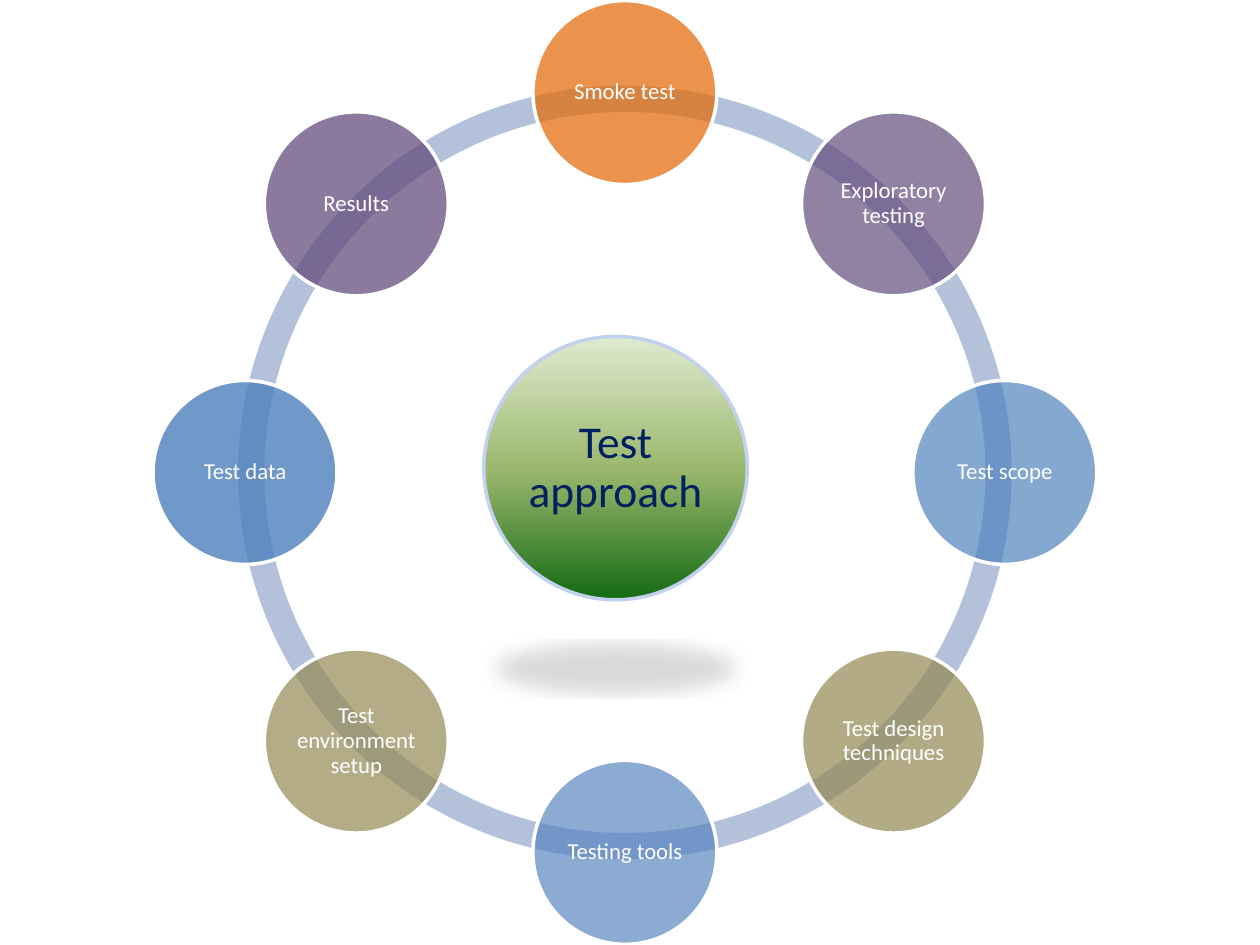
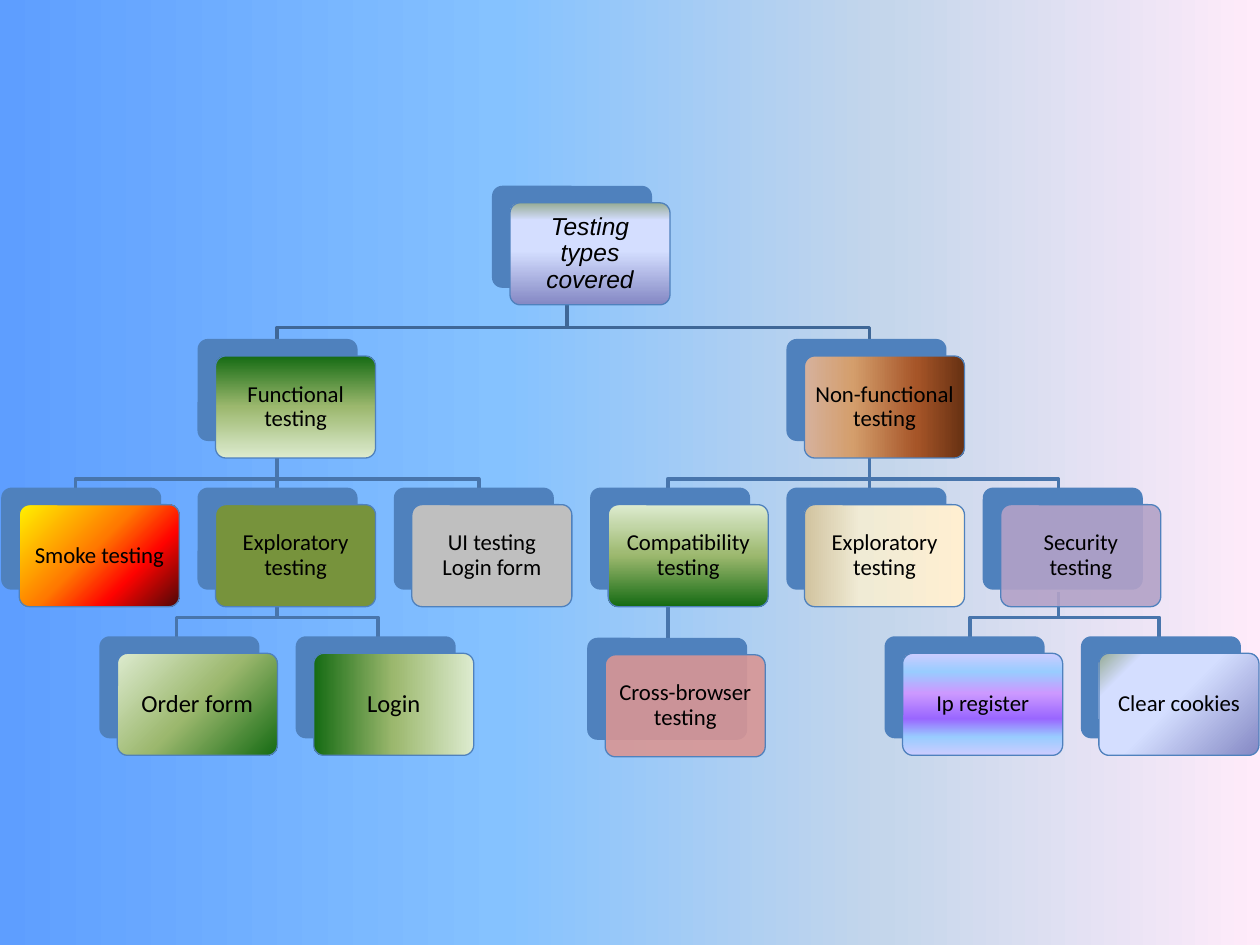
from collections import namedtuple
from math import cos, pi, sin

from lxml import etree
from pptx import Presentation
from pptx.dml.color import RGBColor
from pptx.enum.shapes import MSO_SHAPE
from pptx.enum.text import MSO_ANCHOR, PP_ALIGN
from pptx.oxml.ns import qn
from pptx.util import Inches, Pt

ARC = MSO_SHAPE.BLOCK_ARC
OVAL = MSO_SHAPE.OVAL
CARD = MSO_SHAPE.ROUNDED_RECTANGLE
CENTER = PP_ALIGN.CENTER
MIDDLE = MSO_ANCHOR.MIDDLE

# Grid: 100 columns by 75 rows of square cells
CELL = Inches(0.1)
COLUMNS, ROWS = 100, 75

# Colours
WHITE = RGBColor(0xFF, 0xFF, 0xFF)
BLACK = RGBColor(0x00, 0x00, 0x00)
NAVY = RGBColor(0x00, 0x20, 0x60)
BLUE = RGBColor(0x4F, 0x81, 0xBD)
RING_BLUE = RGBColor(0xB3, 0xC1, 0xDB)
HUB_EDGE = RGBColor(0xC2, 0xD1, 0xED)
ORANGE = RGBColor(0xE4, 0x6C, 0x0A)
PURPLE = RGBColor(0x60, 0x4A, 0x7B)
KHAKI = RGBColor(0x94, 0x8A, 0x54)
OLIVE = RGBColor(0x77, 0x93, 0x3C)
GREY = RGBColor(0xBF, 0xBF, 0xBF)
ROSE = RGBColor(0xD9, 0x96, 0x94)
LILAC = RGBColor(0xB3, 0xA2, 0xC7)
ROOT_LINK = RGBColor(0x3F, 0x67, 0x97)
LINK = RGBColor(0x48, 0x75, 0xAC)

# Fills: solid with opacity in percent, or gradient with a clockwise angle
Solid = namedtuple("Solid", "color opacity", defaults=(100,))
Gradient = namedtuple("Gradient", "stops angle")

GREEN_STOPS = ((0, "DDEBCF"), (50, "9CB86E"), (100, "156B13"))
MIST_STOPS = ((0, "8488C4"), (53, "D4DEFF"), (83, "D4DEFF"), (100, "96AB94"))
FIRE_STOPS = ((0, "FFF200"), (45, "FF7A00"), (70, "FF0300"), (100, "4D0808"))
WOOD_STOPS = ((0, "D6B19C"), (30, "D49E6C"), (70, "A65528"), (100, "663012"))
SAND_STOPS = ((0, "FFEFD1"), (65, "F0EBD5"), (100, "D1C39F"))
VIOLET_STOPS = ((0, "CCCCFF"), (18, "99CCFF"), (36, "9966FF"),
                (61, "CC99FF"), (82, "99CCFF"), (100, "CCCCFF"))
SKY_STOPS = ((0, "5E9EFF"), (40, "85C2FF"), (70, "C4D6EB"), (100, "FFEBFA"))

# Ring of topics, clockwise from the top
RING_CENTER = (49.6, 37.5)
RING_SIZE = 61.4
ORBIT = 30.15
TOPIC_SIZE = 14.6
TOPICS = (
    ("Smoke test", Solid(ORANGE, 73)),
    ("Exploratory testing", Solid(PURPLE, 69)),
    ("Test scope", Solid(BLUE, 69)),
    ("Test design techniques", Solid(KHAKI, 71)),
    ("Testing tools", Solid(BLUE, 66)),
    ("Test environment setup", Solid(KHAKI, 70)),
    ("Test data", Solid(BLUE, 81)),
    ("Results", Solid(PURPLE, 73)),
)

# Tree of testing types: place is column and level in the tree
Node = namedtuple("Node", "text column level fill parent size font italic",
                  defaults=(13, "Calibri", False))
TREE_LEFT, TREE_TOP = 0.1, 15.1
COLUMN_STEP, LEVEL_STEP = 7.79, 11.8
CARD_WIDTH, CARD_HEIGHT = 12.7, 8.1
CARD_OFFSET = (1.43, 1.35)
ELBOW_GAP = 1.2
TREE = {
    "root": Node("Testing types covered", 5, -0.03,
                 Gradient(MIST_STOPS, 270), None, 14, "Arial", True),
    "functional": Node("Functional testing", 2, 1,
                       Gradient(GREEN_STOPS, 270), "root"),
    "smoke": Node("Smoke testing", 0, 2, Gradient(FIRE_STOPS, 45), "functional"),
    "explore": Node("Exploratory testing", 2, 2, Solid(OLIVE), "functional"),
    "order": Node("Order form", 1, 3, Gradient(GREEN_STOPS, 45), "explore", 14),
    "login": Node("Login", 3, 3, Gradient(GREEN_STOPS, 180), "explore", 14),
    "ui": Node("UI testing Login form", 4, 2, Solid(GREY), "functional"),
    "other": Node("Non-functional testing", 8, 1, Gradient(WOOD_STOPS, 0), "root"),
    "compatible": Node("Compatibility testing", 6, 2,
                       Gradient(GREEN_STOPS, 90), "other"),
    "browser": Node("Cross-browser testing", 5.97, 3.01, Solid(ROSE, 90),
                    "compatible"),
    "explore_other": Node("Exploratory testing", 8, 2,
                          Gradient(SAND_STOPS, 180), "other"),
    "security": Node("Security testing", 10, 2, Solid(LILAC, 90), "other"),
    "register": Node("Ip register", 9, 3, Gradient(VIOLET_STOPS, 270), "security"),
    "cookies": Node("Clear cookies", 11, 3, Gradient(MIST_STOPS, 225), "security"),
}


def cells(count):
    return round(count * CELL)


class Deck:
    """Holds the presentation, its style and the current slide."""

    def __init__(self):
        self.presentation = Presentation()
        self.presentation.slide_width = cells(COLUMNS)
        self.presentation.slide_height = cells(ROWS)
        self.slide = None

    def new_slide(self, background):
        layout = self.presentation.slide_layouts[6]
        self.slide = self.presentation.slides.add_slide(layout)
        fill = self.slide.background.fill
        self.paint(fill, self.slide.element, background)

    def paint(self, fill, element, style):
        if isinstance(style, Gradient):
            fill.gradient()
            fill.gradient_angle = (360 - style.angle) % 360
            stop_list = next(element.iter(qn("a:gsLst")))
            for stop in list(stop_list):
                stop_list.remove(stop)
            for position, color in style.stops:
                stop = etree.SubElement(stop_list, qn("a:gs"), pos=str(position * 1000))
                etree.SubElement(stop, qn("a:srgbClr"), val=color)
            return
        fill.solid()
        fill.fore_color.rgb = style.color
        if style.opacity < 100:
            color = next(element.iter(qn("a:srgbClr")))
            etree.SubElement(color, qn("a:alpha"), val=str(style.opacity * 1000))

    def shape(self, kind, left, top, width, height, fill, line=None, line_width=2):
        shape = self.slide.shapes.add_shape(
            kind, cells(left), cells(top), cells(width), cells(height))
        self.paint(shape.fill, shape.element, fill)
        if line is None:
            shape.line.fill.background()
        else:
            shape.line.color.rgb = line
            shape.line.width = Pt(line_width)
        shape.shadow.inherit = False
        return shape

    def circle(self, center, size, fill, line):
        left, top = (middle - size / 2 for middle in center)
        return self.shape(OVAL, left, top, size, size, fill, line)

    def arc(self, center, size, start, end):
        left, top = (middle - size / 2 for middle in center)
        arc = self.shape(ARC, left, top, size, size, Solid(RING_BLUE))
        # Angles count in units of 5/3 degree
        for index, value in enumerate((start * 0.6, end * 0.6, 0.034)):
            arc.adjustments[index] = value

    def card(self, left, top, fill, line=None):
        card = self.shape(CARD, left, top, CARD_WIDTH, CARD_HEIGHT, fill, line, 0.75)
        card.adjustments[0] = 0.1
        return card

    def label(self, shape, text, size, color, inset, font="Calibri", italic=False):
        frame = shape.text_frame
        frame.word_wrap = True
        frame.vertical_anchor = MIDDLE
        frame.margin_left = frame.margin_right = cells(inset)
        frame.margin_top = frame.margin_bottom = cells(inset)
        paragraph = frame.paragraphs[0]
        paragraph.text = text
        paragraph.alignment = CENTER
        paragraph.line_spacing = 0.9
        paragraph.font.name = font
        paragraph.font.size = Pt(size)
        paragraph.font.italic = italic
        paragraph.font.color.rgb = color

    def link(self, points, color):
        builder = self.slide.shapes.build_freeform(*points[0], scale=CELL)
        builder.add_line_segments(points[1:], close=False)
        link = builder.convert_to_shape()
        link.fill.background()
        link.line.color.rgb = color
        link.line.width = Pt(2)
        link.shadow.inherit = False

    def floor_shadow(self, shape):
        effects = shape.element.spPr.find(qn("a:effectLst"))
        shadow = etree.SubElement(
            effects, qn("a:outerShdw"), blurRad=str(Pt(12)), dist=str(Pt(25)),
            dir="5400000", sx="90000", sy="-19000", rotWithShape="0")
        color = etree.SubElement(shadow, qn("a:srgbClr"), val=str(BLACK))
        etree.SubElement(color, qn("a:alpha"), val="15000")


def build_approach(deck):
    deck.new_slide(Solid(WHITE))
    step = 360 // len(TOPICS)

    # Ring
    for start in range(0, 360, step):
        deck.arc(RING_CENTER, RING_SIZE, start, (start + step) % 360)

    # Hub
    hub = deck.circle((48.85, 37.15), 20.9, Gradient(GREEN_STOPS, 90), HUB_EDGE)
    deck.floor_shadow(hub)
    deck.label(hub, "Test approach", 26, NAVY, 0.4)

    # Topics
    for index, (text, fill) in enumerate(TOPICS):
        angle = 2 * pi * index / len(TOPICS)
        center = (RING_CENTER[0] + ORBIT * sin(angle),
                  RING_CENTER[1] - ORBIT * cos(angle))
        topic = deck.circle(center, TOPIC_SIZE, fill, WHITE)
        deck.label(topic, text, 13, WHITE, 0.2)


def corner(node):
    return (TREE_LEFT + node.column * COLUMN_STEP,
            TREE_TOP + node.level * LEVEL_STEP)


def build_types(deck):
    deck.new_slide(Gradient(SKY_STOPS, 0))

    # Links from parent to child
    for node in TREE.values():
        if node.parent is None:
            continue
        parent = TREE[node.parent]
        (start_x, start_y), (end_x, end_y) = corner(parent), corner(node)
        start_x += CARD_WIDTH / 2
        end_x += CARD_WIDTH / 2
        start_y += CARD_HEIGHT
        points = [(start_x, start_y), (end_x, end_y)]
        if parent.column != node.column:
            elbow_y = end_y - ELBOW_GAP
            points[1:1] = [(start_x, elbow_y), (end_x, elbow_y)]
        deck.link(points, ROOT_LINK if node.parent == "root" else LINK)

    # Cards, each on a blue backing
    for node in TREE.values():
        left, top = corner(node)
        deck.card(left, top, Solid(BLUE))
        front = deck.card(left + CARD_OFFSET[0], top + CARD_OFFSET[1], node.fill, BLUE)
        inset = 0.6 if node.size == 14 else 0.5
        deck.label(front, node.text, node.size, BLACK, inset, node.font, node.italic)


def main():
    deck = Deck()
    build_approach(deck)
    build_types(deck)
    deck.presentation.save("out.pptx")


if __name__ == "__main__":
    main()
